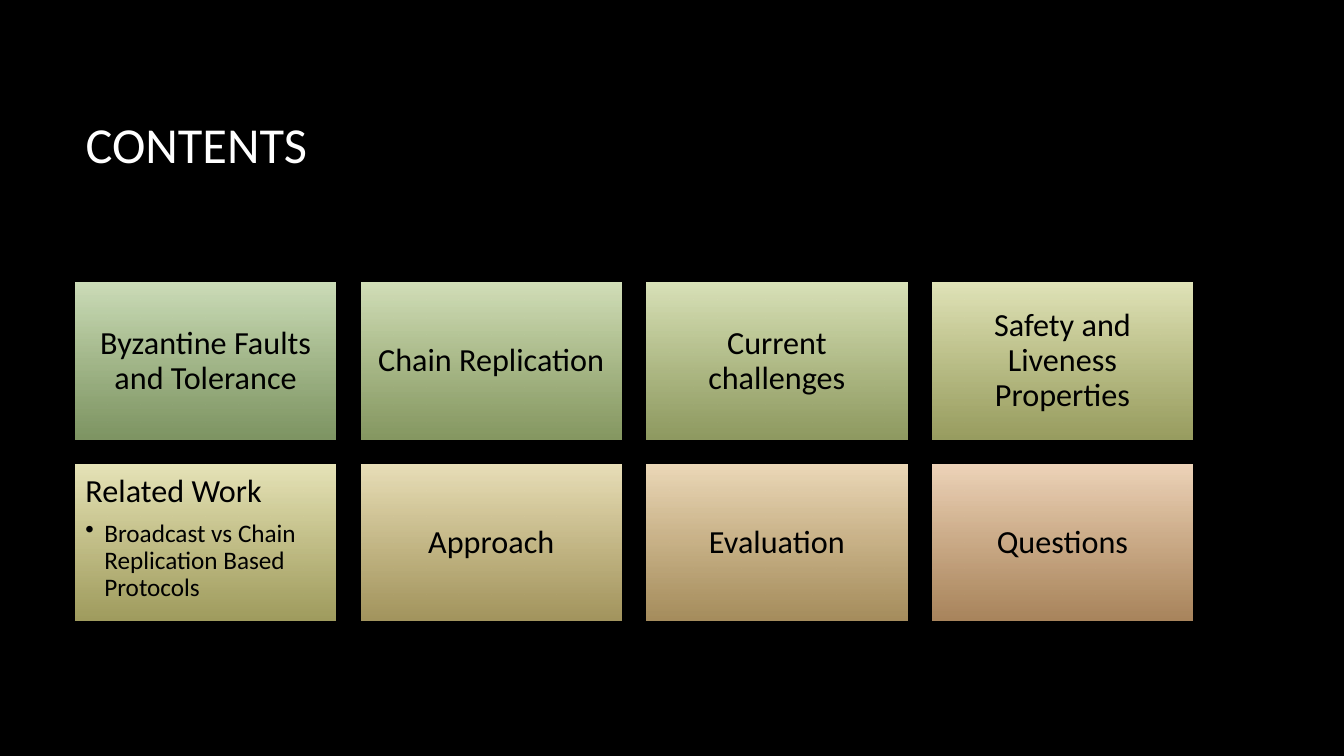
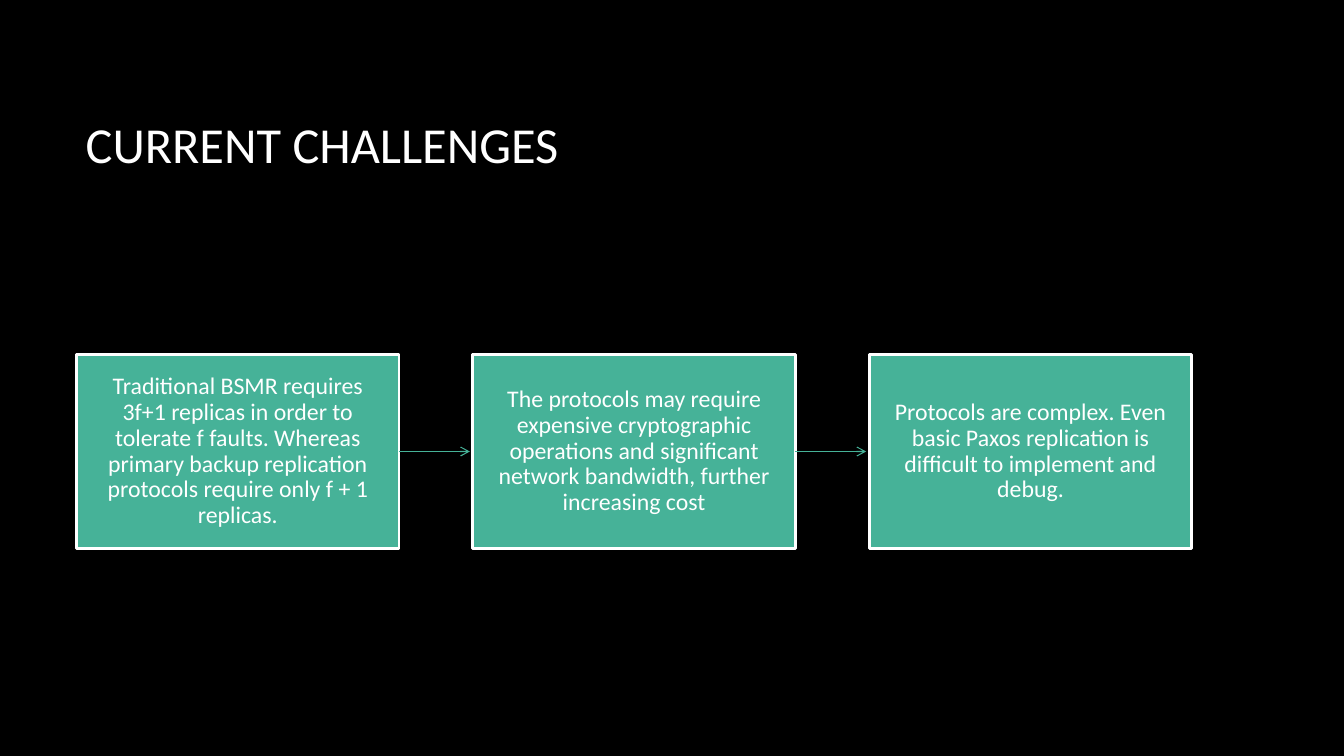
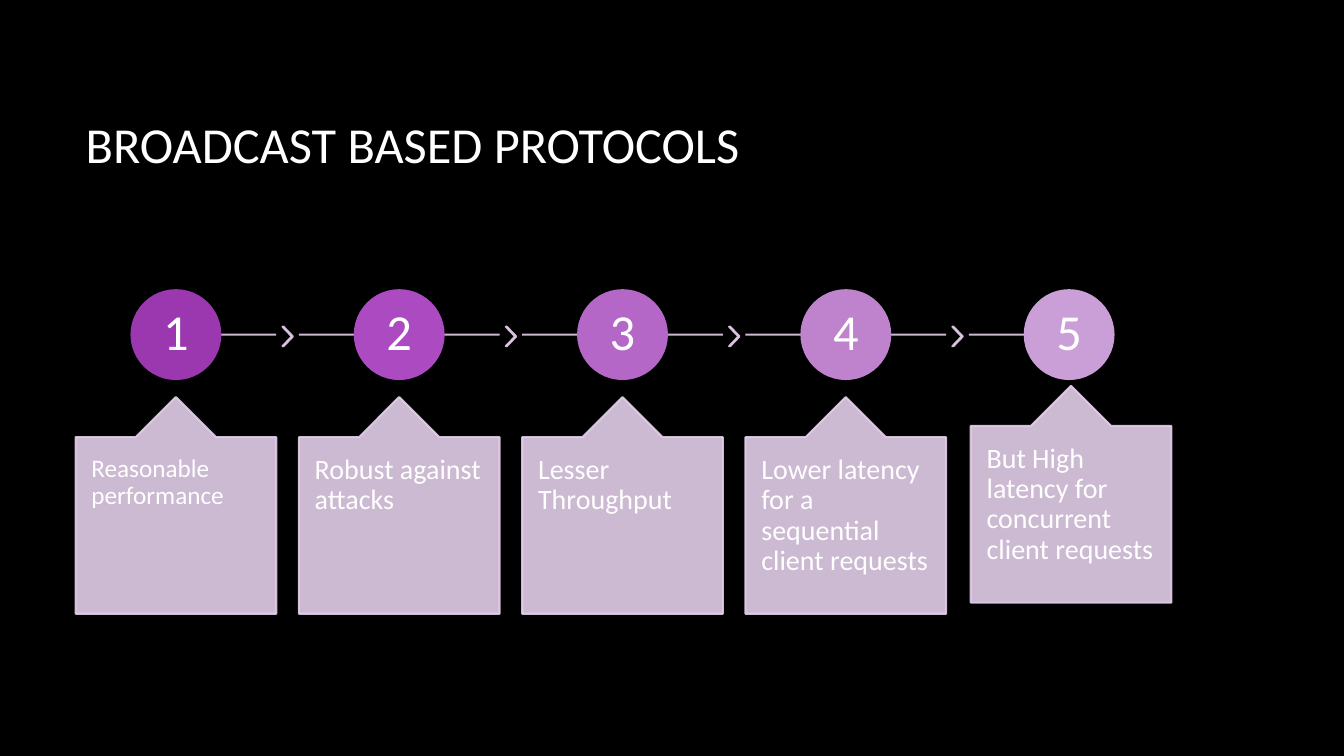
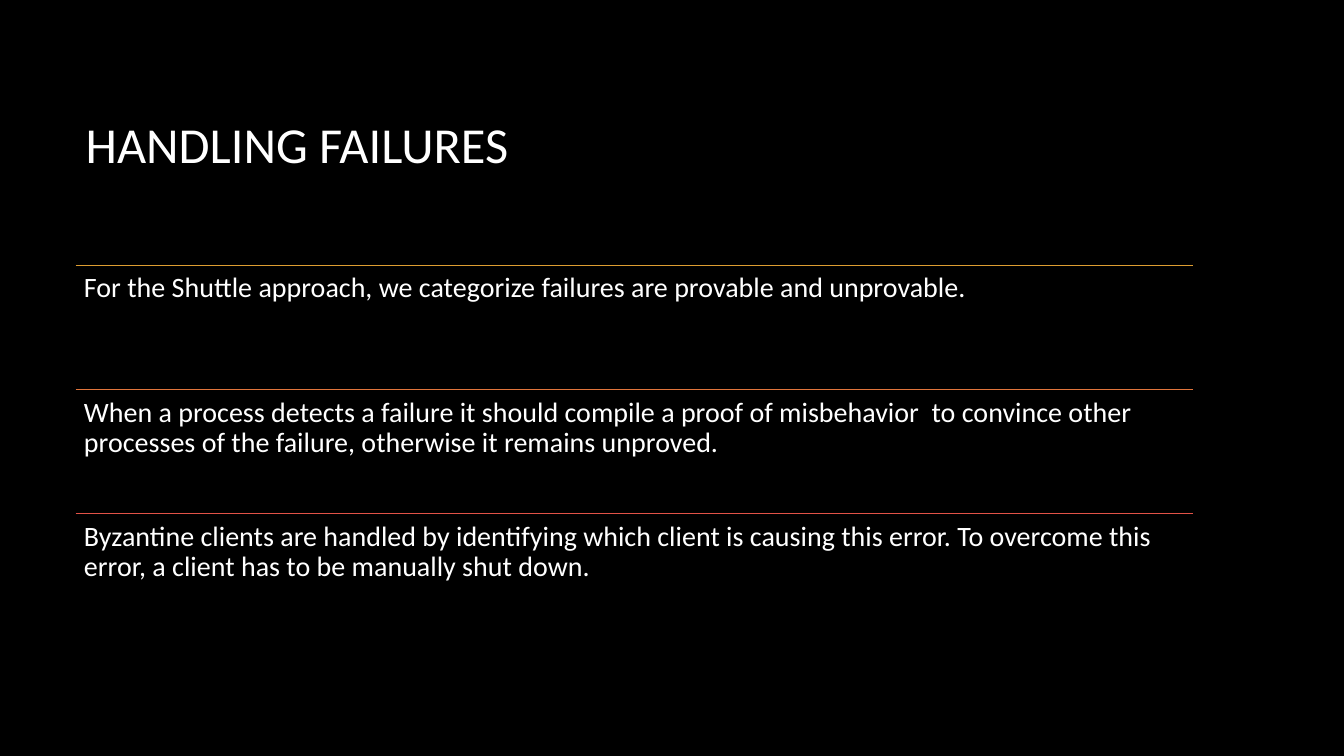
from lxml import etree
from pptx import Presentation
from pptx.dml.color import RGBColor
from pptx.enum import shapes as es, text as et
from pptx.oxml import ns
from pptx.util import Pt

FONT = "Calibri"
HUE = {"back": "000000", "ink": "FFFFFF", "dark": "000000",
       "teal": "46B298", "lilac": "E3CEE9"}
LEFT, WIDE = 54, 798
AUTO, KIND = es.MSO_SHAPE, es.MSO_CONNECTOR
MID, TOP = et.MSO_ANCHOR.MIDDLE, et.MSO_ANCHOR.TOP

TILES = [
    ("Byzantine Faults and Tolerance", [], "CDDEB9", "ABC987"),
    ("Chain Replication", [], "D3E0B9", "B5CD85"),
    ("Current challenges", [], "DAE3B9", "C1D084"),
    ("Safety and Liveness Properties", [], "E2E5B9", "CED483"),
    ("Related Work", ["Broadcast vs Chain Replication Based Protocols"],
     "E8E5B9", "D8D381"),
    ("Approach", [], "EAE0B9", "DCC980"),
    ("Evaluation", [], "EDDAB9", "E0BF7F"),
    ("Questions", [], "EFD5BA", "E4B47E"),
]
ISSUES = [
    "Traditional BSMR requires 3f+1 replicas in order to tolerate f faults. "
    "Whereas primary backup replication protocols require only f + 1 replicas.",
    "The protocols may require expensive cryptographic operations and "
    "significant network bandwidth, further increasing cost",
    "Protocols are complex. Even basic Paxos replication is difficult to "
    "implement and debug.",
]
STEPS = [
    ("Reasonable performance", 18, "9C38AF", (0, 0)),
    ("Robust against attacks", 20, "AC4AC1", (0, 0)),
    ("Lesser Throughput", 20, "B567C7", (0, 0)),
    ("Lower latency for a sequential client requests", 20, "BF83CE", (0, 0)),
    ("But High latency for concurrent client requests", 20, "CA9ED6", (1.4, -8)),
]
RULES = [
    ("For the Shuttle approach, we categorize failures are provable and "
     "unprovable.", "DD9D31"),
    ("When a process detects a failure it should compile a proof of "
     "misbehavior  to convince other processes of the failure, otherwise it "
     "remains unproved.", "E0753C"),
    ("Byzantine clients are handled by identifying which client is causing "
     "this error. To overcome this error, a client has to be manually shut "
     "down.", "E25247"),
]


def rgb(hue):
    return RGBColor.from_string(hue)


def sub(node, tag, **attrs):
    return etree.SubElement(node, ns.qn(tag), attrs)


def fade(node, part):
    for tint in node.iter(ns.qn("a:srgbClr")):
        sub(tint, "a:alpha", val=str(part * 1000))


def frame(shape, pad, anchor, wrap=True):
    body = shape.text_frame
    body.auto_size = et.MSO_AUTO_SIZE.NONE
    body.word_wrap = wrap
    body.vertical_anchor = anchor
    body.margin_left = body.margin_right = Pt(pad[0])
    body.margin_top = body.margin_bottom = Pt(pad[1])
    return body


def write(para, words, size, hue, center=False):
    para.alignment = et.PP_ALIGN.CENTER if center else et.PP_ALIGN.LEFT
    para.line_spacing = 0.9
    run = para.add_run()
    run.text = words
    run.font.name, run.font.size = FONT, Pt(size)
    run.font.color.rgb = rgb(hue)


def shape(slide, kind, box, fill=None, line=None, width=1.5):
    item = slide.shapes.add_shape(kind, *map(Pt, box))
    item.shadow.inherit = False
    if fill:
        item.fill.solid()
        item.fill.fore_color.rgb = rgb(fill)
    if line:
        item.line.color.rgb = rgb(line)
        item.line.width = Pt(width)
    else:
        item.line.fill.background()
    return item


def rule(slide, x, y, end, hue, width):
    line = slide.shapes.add_connector(KIND.STRAIGHT, Pt(x), Pt(y), Pt(end), Pt(y))
    line.line.color.rgb = rgb(hue)
    line.line.width = Pt(width)
    sub(line._element.spPr, "a:effectLst")
    return line


def page(deck, words):
    slide = deck.slides.add_slide(deck.slide_layouts[5])
    title = slide.shapes.title
    title.left, title.top, title.width, title.height = map(Pt, (LEFT, 48.2, WIDE, 114.5))
    write(frame(title, (7.2, 3.6), MID).paragraphs[0], words, 36, HUE["ink"])
    return slide


def contents(deck):
    slide = page(deck, "CONTENTS")
    cols, gap, high, step = 4, 18, 111.8, 129.6
    wide = (WIDE - (cols - 1) * gap) / cols
    for i, (head, subs, light, deep) in enumerate(TILES):
        row, col = divmod(i, cols)
        box = (LEFT + col * (wide + gap), 202.2 + row * step, wide, high)
        tile = shape(slide, AUTO.RECTANGLE, box)
        tile.fill.gradient()
        tile.fill.gradient_angle = 270
        for stop, hue, spot in zip(tile.fill.gradient_stops, (light, deep), (0, 1)):
            stop.color.rgb, stop.position = rgb(hue), spot
        fade(tile._element.spPr.findall(".//" + ns.qn("a:gs"))[1], 74)
        body = frame(tile, (7.2, 7.2), TOP if subs else MID)
        write(body.paragraphs[0], head, 23, HUE["dark"], not subs)
        for words in subs:
            body.paragraphs[-1].space_after = Pt(8)
            para = body.add_paragraph()
            para.level = 1
            write(para, words, 18, HUE["dark"])
            props = para._p.get_or_add_pPr()
            props.set("marL", str(Pt(13.5)))
            props.set("indent", str(-Pt(13.5)))
            sub(props, "a:buChar", char="•")


def issues(deck):
    slide = page(deck, "CURRENT CHALLENGES")
    x, y, wide, high, step = 54.7, 253.4, 230.4, 138.2, 283.1
    last = None
    for i, words in enumerate(ISSUES):
        left = x + i * step
        box = shape(slide, AUTO.RECTANGLE, (left, y, wide, high),
                    HUE["teal"], HUE["ink"], 2)
        write(frame(box, (11.5, 11.5), MID).paragraphs[0], words, 17, HUE["ink"], True)
        if last:
            arrow = rule(slide, left - step + wide, y + high / 2, left - 2.2,
                         HUE["teal"], 0.75)
            arrow.begin_connect(last, 3)
            sub(arrow.line._get_or_add_ln(), "a:tailEnd", type="arrow")
        last = box


def steps(deck):
    slide = page(deck, "BROADCAST BASED PROTOCOLS")
    wide, step, size, mid = 143.3, 159.5, 63.4, 239
    lilac = HUE["lilac"]
    final = len(STEPS) - 1
    for i, (words, points, hue, (dx, dy)) in enumerate(STEPS):
        x = LEFT + i * step
        half = x + wide / 2
        line = rule(slide, x if i else half, mid, half if i == final else x + wide,
                    lilac, 1.5)
        fade(line._element, 90)
        if i < final:
            mark = shape(slide, AUTO.CHEVRON, (x + 147.8, 233.4, 7.4, 13.9), lilac, lilac)
            mark.adjustments[0] = 0.9
            fade(mark._element, 90)
        disc = shape(slide, AUTO.OVAL, (half - size / 2, mid - size / 2, size, size),
                     hue, hue)
        write(frame(disc, (2, 2), MID, False).paragraphs[0], str(i + 1), 36,
              HUE["ink"], True)
        note = shape(slide, AUTO.UP_ARROW_CALLOUT, (x + dx, 283.6 + dy, wide, 154.8),
                     lilac, lilac)
        for n, part in enumerate((0.5, 0.2, 0.2, 1)):
            note.adjustments[n] = part
        fade(note._element.spPr, 90)
        write(frame(note, (11.3, 13), TOP).paragraphs[0], words, points, HUE["ink"])


def rules(deck):
    slide = page(deck, "HANDLING FAILURES")
    high = 88.8
    for i, (words, hue) in enumerate(RULES):
        y = 189.5 + i * high
        rule(slide, LEFT, y, LEFT + WIDE, hue, 0.75)
        box = slide.shapes.add_textbox(*map(Pt, (LEFT, y, WIDE, high)))
        write(frame(box, (6, 6), TOP).paragraphs[0], words, 20, HUE["ink"])


def main():
    deck = Presentation()
    deck.slide_width, deck.slide_height = Pt(960), Pt(540)
    back = deck.slide_master.background.fill
    back.solid()
    back.fore_color.rgb = rgb(HUE["back"])
    for build in (contents, issues, steps, rules):
        build(deck)
    deck.save("out.pptx")


if __name__ == "__main__":
    main()
